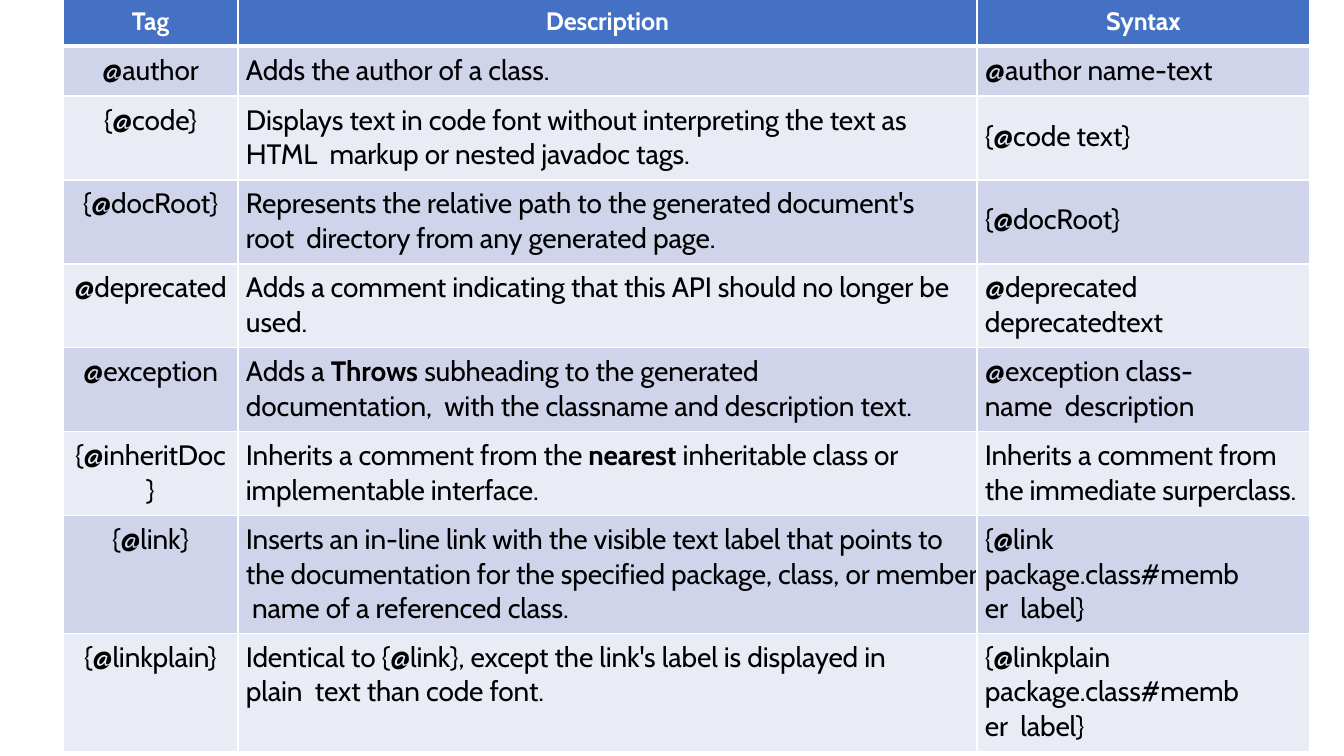
"""Build a slide with a table of documentation comment tags."""
from lxml.etree import SubElement
from pptx import Presentation
from pptx.dml.color import RGBColor
from pptx.enum.text import PP_ALIGN
from pptx.oxml.ns import qn
from pptx.util import Pt

PX = 914400 / 100.8
COLORS = {"header": "4471C4", "odd": "CFD4EA", "even": "E9EBF5",
          "white": "FFFFFF", "black": "000000"}
WIDTHS = [175, 739, 333]
ROWS = [
    # height, texts, right margins, top margin of the syntax cell
    (47, ["Tag", "Description", "Syntax"], [0, 0, 0], 7),
    (50, ["@author", "Adds the author of a class.", "@author name-text"], [0, 0, 0], 7),
    (84, ["{@code}",
          "Displays text in code font without interpreting the text as HTML  markup or nested javadoc tags.",
          "{@code text}"], [0, 45, 0], 23),
    (84, ["{@docRoot}",
          "Represents the relative path to the generated document's root  directory from any generated page.",
          "{@docRoot}"], [0, 45, 0], 23),
    (84, ["@deprecated",
          "Adds a comment indicating that this API should no longer be\nused.",
          "@deprecated\ndeprecatedtext"], [0, 0, 0], 7),
    (84, ["@exception",
          "Adds a **Throws **subheading to the generated documentation,  with the classname and description text.",
          "@exception class-name  description"], [0, 45, 60], 7),
    (84, ["{@inheritDoc\n}",
          "Inherits a comment from the **nearest **inheritable class or\nimplementable interface.",
          "Inherits a comment from\nthe immediate surperclass."], [0, 0, 0], 7),
    (118, ["{@link}",
           "Inserts an in-line link with the visible text label that points to  the documentation for the "
           "specified package, class, or member  name of a referenced class.",
           "{@link  package.class#member  label}"], [0, 0, 60], 7),
    (118, ["{@linkplain}",
           "Identical to {@link}, except the link's label is displayed in plain  text than code font.",
           "{@linkplain  package.class#member  label}"], [0, 45, 60], 7),
]


def px(n):
    return round(n * PX)


def add_border(cell, side, width):
    ln = SubElement(cell._tc.get_or_add_tcPr(), qn(f"a:ln{side}"), w=str(Pt(width)))
    fill = SubElement(ln, qn("a:solidFill"))
    SubElement(fill, qn("a:srgbClr"), val=COLORS["white"])


prs = Presentation()
prs.slide_width, prs.slide_height = px(1344), px(756)
s = prs.slides.add_slide(prs.slide_layouts[6])
height = sum(row[0] for row in ROWS)
table = s.shapes.add_table(len(ROWS), len(WIDTHS), px(63), px(-1),
                           px(sum(WIDTHS)), px(height)).table
for col, width in zip(table.columns, WIDTHS):
    col.width = px(width)

for i, (row_height, texts, rights, syntax_top) in enumerate(ROWS):
    table.rows[i].height = px(row_height)
    header = i == 0
    band = "header" if header else "odd" if i % 2 else "even"
    for j, text in enumerate(texts):
        cell = table.cell(i, j)
        centered = header or j == 0
        cell.margin_left = px(0 if centered else 8)
        cell.margin_right = px(rights[j])
        cell.margin_top = px(syntax_top if j == 2 else 7)
        cell.margin_bottom = 0
        for side in "LRTB":
            thick = (side == "B" and i == 0) or (side == "T" and i == 1)
            add_border(cell, side, 3 if thick else 1)
        cell.fill.solid()
        cell.fill.fore_color.rgb = RGBColor.from_string(COLORS[band])
        tf = cell.text_frame
        for n, line in enumerate(text.split("\n")):
            p = tf.add_paragraph() if n else tf.paragraphs[0]
            p.alignment = PP_ALIGN.CENTER if centered else PP_ALIGN.LEFT
            if n == 0:
                p.space_before = Pt(5.2)
            for k, part in enumerate(line.split("**")):
                r = p.add_run()
                r.text = part
                r.font.name = "Cabin"
                r.font.size = Pt(18 if header else 20)
                r.font.bold = header or k % 2 == 1
                r.font.color.rgb = RGBColor.from_string(COLORS["white" if header else "black"])
                r._r.get_or_add_rPr().set("spc", "-10")

prs.save("out.pptx")
